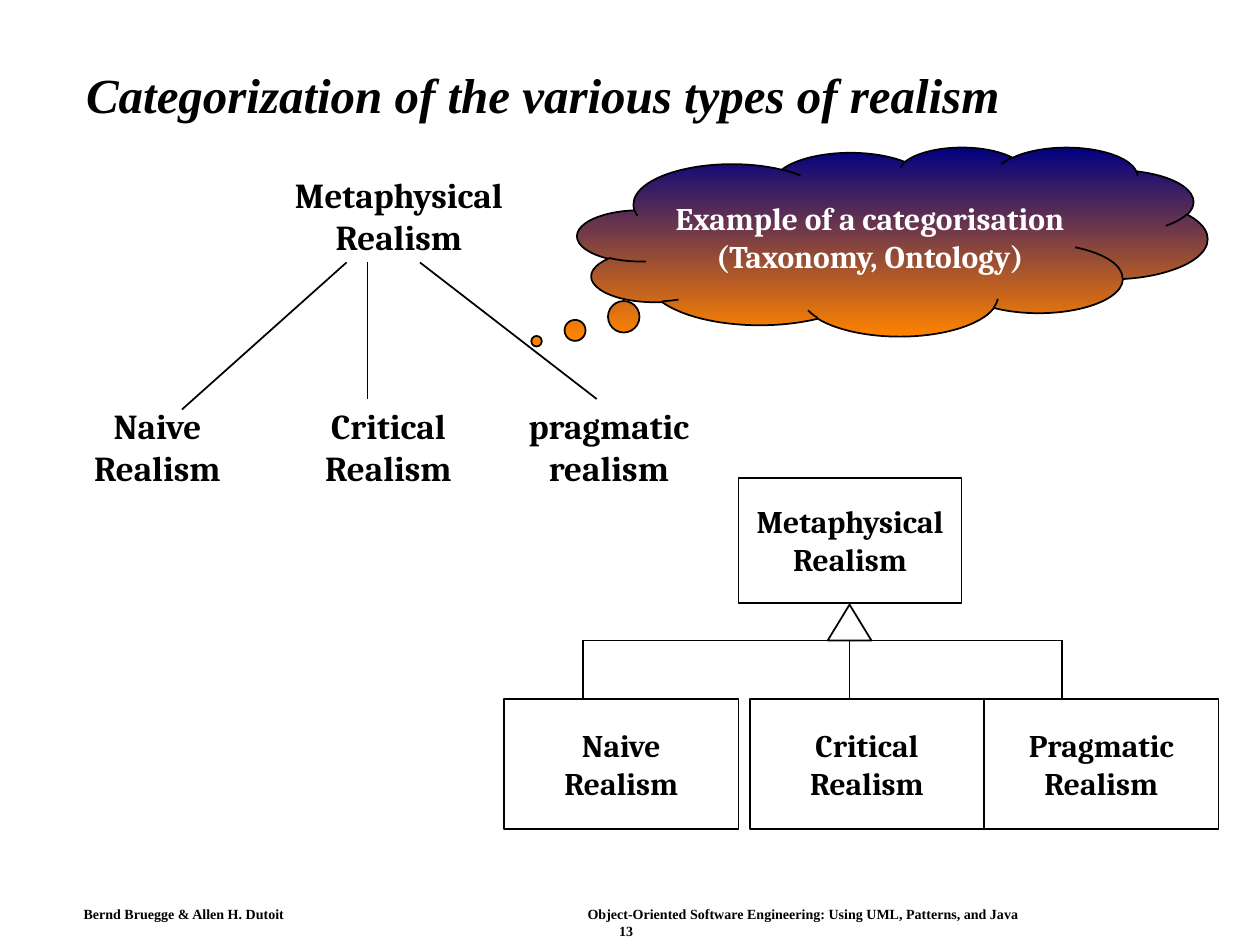
from pptx import Presentation
from pptx.dml.color import RGBColor
from pptx.enum.shapes import MSO_CONNECTOR as Link, MSO_SHAPE as Form
from pptx.enum.text import MSO_ANCHOR as Anchor, MSO_AUTO_SIZE as Auto, PP_ALIGN as Align
from pptx.oxml.ns import qn
from pptx.util import Pt
from lxml.etree import SubElement

# Content; positions are in points
TITLE = "Categorization of the various types of realism"
FOOT = [("Bernd Bruegge & Allen H. Dutoit\t"
         "Object-Oriented Software Engineering: Using UML, Patterns, and Java", 288),
        ("\t13", 306)]
ROOT = ["Metaphysical", "Realism"]
TREE = [(ROOT, 156, 96),
        (["Naive", "Realism"], 18, 228),
        (["Critical", "Realism"], 150, 228),
        (["pragmatic", "realism"], 276, 228)]
EDGES = [(198, 150, 104, 234), (210, 228, 210, 150), (240, 150, 341, 228)]
KINDS = [(["Naive", "Realism"], 288, 333),
         (["Critical", "Realism"], 428.4, 485.5),
         (["Pragmatic", "Realism"], 562.3, 607)]
CLOUD = ["Example of a categorisation", "(Taxonomy, Ontology)"]

# Formats and class diagram levels
BODY = {"name": "Cambria", "size": Pt(20), "bold": True}
BOX = {**BODY, "size": Pt(18)}
HEAD = {"name": "Times New Roman", "size": Pt(28), "bold": True, "italic": True}
SMALL = {"name": "Times New Roman", "size": Pt(8), "bold": True}
BAR, ROW = 366, 399.6

deck = Presentation()
deck.slide_width, deck.slide_height = Pt(720), Pt(540)
slide = deck.slides.add_slide(deck.slide_layouts[5])
shapes = slide.shapes


def rgb(code):
    return RGBColor.from_string(code)


def write(shape, lines, look, color="000000", align=Align.CENTER, wrap=False):
    frame = shape.text_frame
    frame.text = "\n".join(lines)
    frame.word_wrap = wrap
    frame.auto_size = Auto.NONE
    frame.vertical_anchor = Anchor.MIDDLE
    for para in frame.paragraphs:
        para.alignment = align
        for run in para.runs:
            for key, val in look.items():
                setattr(run.font, key, val)
            run.font.color.rgb = rgb(color)
    return frame


def label(lines, x, y, w, h, look, **kw):
    return write(shapes.add_textbox(Pt(x), Pt(y), Pt(w), Pt(h)), lines, look, **kw)


def draw(form, x, y, w, h):
    shape = shapes.add_shape(form, Pt(x), Pt(y), Pt(w), Pt(h))
    shape.shadow.inherit = False
    shape.fill.background()
    shape.line.color.rgb = rgb("000000")
    shape.line.width = Pt(1)
    return shape


def link(*ends):
    line = shapes.add_connector(Link.STRAIGHT, *map(Pt, ends))
    line.line.color.rgb = rgb("000000")
    line.line.width = Pt(1)
    SubElement(line._element.spPr, qn("a:effectLst"))


# Title
title = shapes.title
title.left, title.top, title.width, title.height = map(Pt, (42, 18, 564, 75))
frame = write(title, [TITLE], HEAD, align=Align.LEFT, wrap=True)
frame.paragraphs[0].line_spacing = 0.9

# Footer: one tab stop per line
frame = label([text for text, _ in FOOT], 42, 514.8, 623, 24, SMALL, align=Align.LEFT)
frame.vertical_anchor = Anchor.TOP
frame.margin_left = frame.margin_right = Pt(5.76)
frame.margin_top = frame.margin_bottom = Pt(2.88)
for para, (_, stop) in zip(frame.paragraphs, FOOT):
    tabs = SubElement(para._p.get_or_add_pPr(), qn("a:tabLst"))
    SubElement(tabs, qn("a:tab"), pos=str(Pt(stop)), algn="l")

# Plain tree
for lines, x, y in TREE:
    label(lines, x, y, 144, 54, BODY)
for edge in EDGES:
    link(*edge)

# Class diagram
write(draw(Form.RECTANGLE, 422, 273, 127.5, 71.4), ROOT, BOX)
draw(Form.ISOSCELES_TRIANGLE, 473, 345.5, 25, 20.5)
for lines, x, mid in KINDS:
    write(draw(Form.RECTANGLE, x, ROW, 134, 74), lines, BOX)
    link(mid, BAR, mid, ROW)
link(KINDS[0][2], BAR, KINDS[-1][2], BAR)

# Thought cloud
cloud = draw(Form.CLOUD_CALLOUT, 330, 84, 360, 108)
cloud.adjustments[0], cloud.adjustments[1] = -0.565, 0.528
cloud.fill.gradient()
cloud.fill.gradient_angle = 270
for stop, code in zip(cloud.fill.gradient_stops, ("000082", "FF8200")):
    stop.color.rgb = rgb(code)
write(cloud, CLOUD, BOX, color="FFFFFF")

deck.save("out.pptx")
